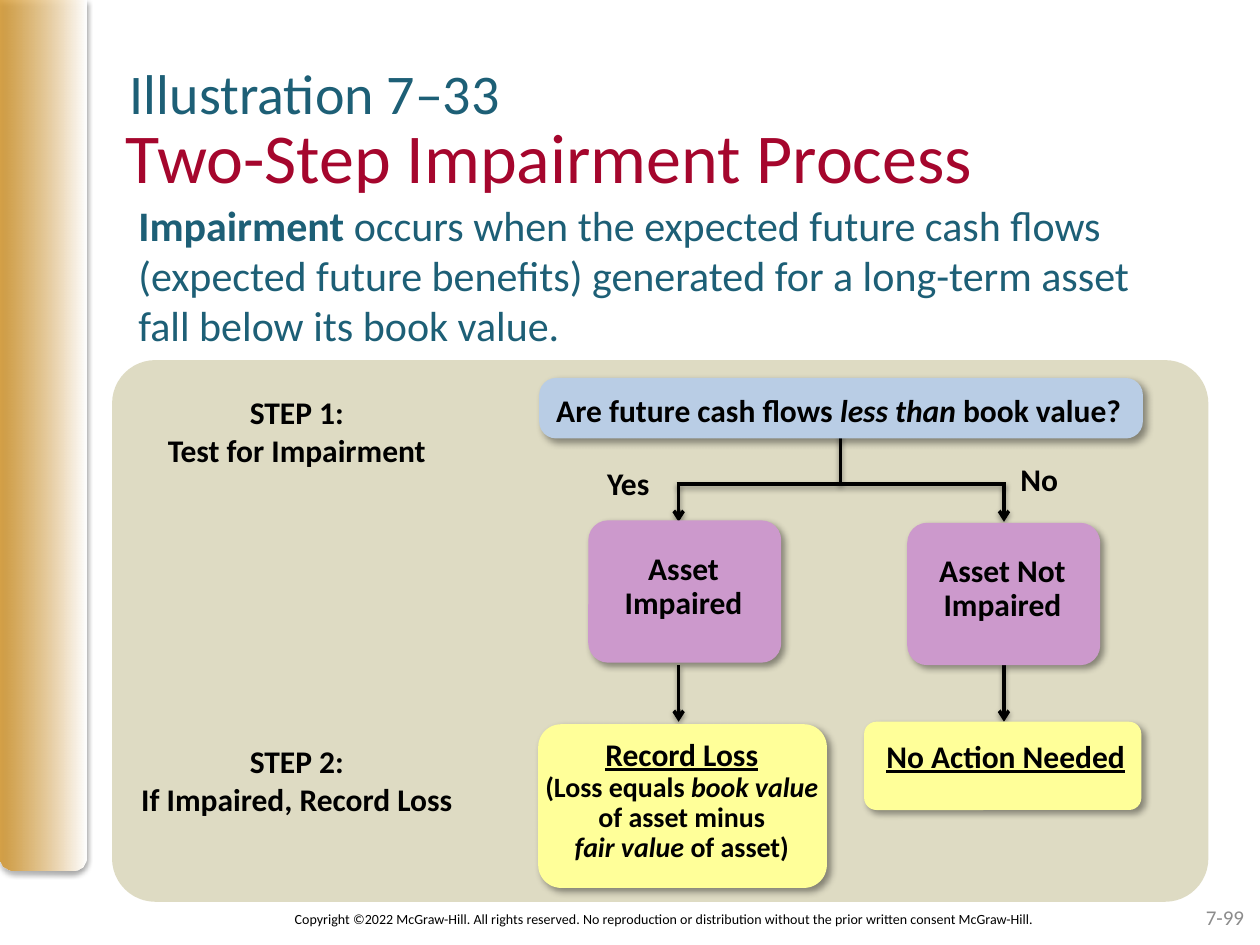
from lxml.etree import SubElement
from pptx import Presentation
from pptx.dml.color import RGBColor
from pptx.enum.shapes import MSO_CONNECTOR, MSO_SHAPE
from pptx.enum.text import MSO_ANCHOR, PP_ALIGN
from pptx.oxml.ns import qn
from pptx.util import Cm, Pt

COLORS = {
    "gold": "D49323", "white": "FFFFFF", "panel": "D4D0B0", "purple": "CC99CC",
    "blue": "B9CDE5", "yellow": "FFFF99", "black": "000000", "red": "A5062D",
    "teal": "1D5F76", "gray": "8C8C8C",
}
LEFT, CENTER, RIGHT = PP_ALIGN.LEFT, PP_ALIGN.CENTER, PP_ALIGN.RIGHT

# Shadows: opacity %, blur pt, distance pt, direction in degrees
BAR_SHADOW = (35, 3.1, 1.8, 90)
LINE_SHADOW = (38, 3.1, 1.6, 90)
BOX_SHADOW = (40, 4, 3, 45)

# Rounded boxes: left, top, width, height (cm), corner, color
BOXES = [
    (11.86, 10.49, 3.89, 2.87, 0.14, "purple"),
    (10.87, 7.62, 12.17, 1.22, 0.28, "blue"),
    (18.29, 10.54, 3.89, 2.87, 0.14, "purple"),
    (10.85, 14.6, 5.82, 3.3, 0.14, "yellow"),
    (17.42, 14.55, 5.59, 1.78, 0.14, "yellow"),
]

# Flow lines (cm)
BRANCHES = (13.68, 20.24)
STEM_X, STEM_TOP, BUS_Y = 16.94, 8.46, 9.76
ARROW_SPANS = [(BUS_Y, 10.52), (13.41, 14.55)]

# Texts: a paragraph is (size, runs); a run is (text, style letters b, i, u)
HEADINGS = [
    ((2.54, 2.29, 22.86, 1.75), "red", [(40, [("Two-Step Impairment Process", "")])]),
    ((2.62, 1.19, 14.63, 1.17), "teal", [(32, [("Illustration 7–33", "")])]),
]
DEFINITION = [(24, [
    ("Impairment", "b"),
    (" occurs when the expected future cash flows (expected future benefits) "
     "generated for a long-term asset\nfall below its book value.", ""),
])]
QUESTION = [(18, [("Are future cash flows ", "b"), ("less than ", "bi"), ("book value? ", "b")])]
RECORD_LOSS = [
    (18, [("Record Loss", "bu")]),
    (16, [("(Loss equals ", "b"), ("book value", "bi"), (" of asset minus\n", "b"),
          ("fair value ", "bi"), ("of asset)", "b")]),
]


def bold_lines(*lines):
    return [(18, [(line, "b")]) for line in lines]


# Diagram texts: place (cm), alignment, line spacing, paragraphs
LABELS = [
    ((12.19, 11.02, 3.18, 1.65), CENTER, 0.9, bold_lines("Asset", "Impaired")),
    ((10.87, 7.75, 12.22, 1.02), CENTER, 1, QUESTION),
    ((18.62, 11.07, 3.18, 1.65), CENTER, 0.9, bold_lines("Asset Not", "Impaired")),
    ((10.57, 14.78, 6.35, 2.79), CENTER, 0.9, RECORD_LOSS),
    ((17.48, 14.81, 5.59, 0.69), CENTER, 0.9, bold_lines("No Action Needed")),
    ((2.29, 7.8, 7.39, 1.8), CENTER, 1, bold_lines("STEP 1:", "Test for Impairment")),
    ((2.29, 14.83, 7.39, 1.8), CENTER, 1, bold_lines("STEP 2:", "If Impaired, Record Loss")),
    ((11.99, 9.22, 1.98, 1.02), LEFT, 1, bold_lines("Yes")),
    ((20.32, 9.14, 1.93, 1.02), LEFT, 1, bold_lines("No")),
]
UNDERLINED = {"Record Loss", "No Action Needed"}
COPYRIGHT = ("Copyright ©2022 McGraw-Hill. All rights reserved. No reproduction or "
             "distribution without the prior written consent McGraw-Hill.")


def rgb(name):
    return RGBColor.from_string(COLORS[name])


def set_alpha(color_element, percent):
    SubElement(color_element, qn("a:alpha"), val=str(percent * 1000))


def set_shadow(shape, shadow=None):
    properties = shape._element.spPr
    for old in properties.findall(qn("a:effectLst")):
        properties.remove(old)
    effects = SubElement(properties, qn("a:effectLst"))
    if shadow:
        opacity, blur, distance, direction = shadow
        outer = SubElement(effects, qn("a:outerShdw"), blurRad=str(int(Pt(blur))),
                           dist=str(int(Pt(distance))), dir=str(direction * 60000),
                           algn="ctr", rotWithShape="0")
        color = SubElement(outer, qn("a:srgbClr"), val=COLORS["black"])
        set_alpha(color, opacity)


def add_box(slide, kind, place, corners, color, shadow=None):
    shape = slide.shapes.add_shape(kind, *map(Cm, place))
    for index, corner in enumerate(corners):
        shape.adjustments[index] = corner
    shape.fill.solid()
    shape.fill.fore_color.rgb = rgb(color)
    shape.line.fill.background()
    set_shadow(shape, shadow)
    return shape


def add_flow_line(slide, start, end, arrow=False):
    line = slide.shapes.add_connector(MSO_CONNECTOR.STRAIGHT, *map(Cm, start + end))
    line.line.width = Pt(2)
    line.line.color.rgb = rgb("black")
    if arrow:
        SubElement(line.line._get_or_add_ln(), qn("a:tailEnd"), type="arrow")
    set_shadow(line, LINE_SHADOW)


def add_text(slide, place, paragraphs, color="black", align=LEFT, spacing=1, inset=True):
    box = slide.shapes.add_textbox(*map(Cm, place))
    frame = box.text_frame
    frame.word_wrap = True
    if not inset:
        frame.margin_left = frame.margin_top = frame.margin_right = frame.margin_bottom = 0
    for index, (size, runs) in enumerate(paragraphs):
        paragraph = frame.paragraphs[0] if index == 0 else frame.add_paragraph()
        paragraph.alignment = align
        paragraph.line_spacing = spacing
        font = paragraph.font
        font.name, font.size, font.color.rgb = "Calibri", Pt(size), rgb(color)
        for text, style in runs:
            for part, piece in enumerate(text.split("\n")):
                if part:
                    paragraph.add_line_break()
                if piece:
                    run = paragraph.add_run()
                    run.text = piece
                    run.font.bold = "b" in style
                    run.font.italic = "i" in style
                    run.font.underline = "u" in style or piece in UNDERLINED
    return box


def main():
    presentation = Presentation()
    presentation.slide_width, presentation.slide_height = Cm(25.4), Cm(19.05)
    slide = presentation.slides.add_slide(presentation.slide_layouts[6])

    # Side bar
    bar = add_box(slide, MSO_SHAPE.ROUND_2_SAME_RECTANGLE, (0, 0, 1.75, 17.55),
                  (0, 0.17), "gold", BAR_SHADOW)
    bar.fill.gradient()
    bar.fill.gradient_angle = 0
    for stop, name in zip(bar.fill.gradient_stops, ("gold", "white")):
        stop.color.rgb = rgb(name)
    set_alpha(next(bar._element.spPr.iter(qn("a:srgbClr"))), 80)

    # Footer
    add_text(slide, (3.71, 18.24, 19.38, 0.61), [(8, [(COPYRIGHT, "")])], align=CENTER)
    number = add_text(slide, (19.41, 17.98, 5.92, 1.02), [(12, [("7-99", "")])], "gray", RIGHT)
    number.text_frame.vertical_anchor = MSO_ANCHOR.MIDDLE

    # Panel
    panel = add_box(slide, MSO_SHAPE.ROUNDED_RECTANGLE, (2.26, 7.26, 22.1, 10.92),
                    (0.08,), "panel")
    set_alpha(next(panel._element.spPr.iter(qn("a:srgbClr"))), 75)

    # Flow lines
    for top, bottom in ARROW_SPANS:
        for x in BRANCHES:
            add_flow_line(slide, (x, top), (x, bottom), arrow=True)
    add_flow_line(slide, (BRANCHES[0] - 0.04, BUS_Y), (BRANCHES[1] + 0.04, BUS_Y))
    add_flow_line(slide, (STEM_X, STEM_TOP), (STEM_X, BUS_Y))

    # Headings and definition
    for place, color, paragraphs in HEADINGS:
        add_text(slide, place, paragraphs, color, inset=False)
    definition = add_text(slide, (2.54, 3.89, 22.1, 3.33), DEFINITION, "teal")
    definition.fill.solid()
    definition.fill.fore_color.rgb = rgb("white")

    # Diagram boxes and their texts
    for *place, corner, color in BOXES:
        add_box(slide, MSO_SHAPE.ROUNDED_RECTANGLE, place, (corner,), color, BOX_SHADOW)
    for place, align, spacing, paragraphs in LABELS:
        add_text(slide, place, paragraphs, align=align, spacing=spacing)

    presentation.save("out.pptx")


if __name__ == "__main__":
    main()
